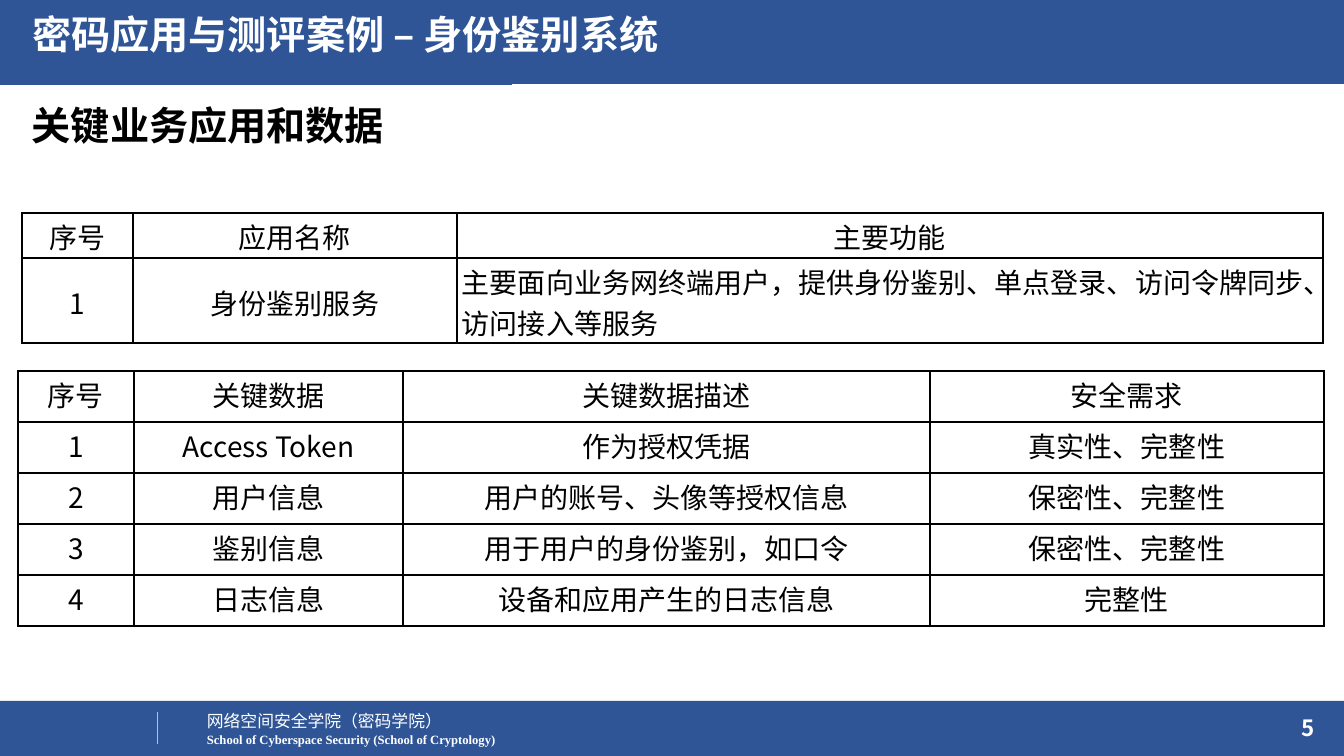
from lxml.etree import SubElement
from pptx import Presentation
from pptx.dml.color import RGBColor
from pptx.enum.shapes import MSO_CONNECTOR, MSO_SHAPE
from pptx.enum.text import MSO_ANCHOR, MSO_AUTO_SIZE, PP_ALIGN
from pptx.oxml.ns import qn
from pptx.util import Pt

NAVY = RGBColor(0x2F, 0x55, 0x97)
WHITE = RGBColor(0xFF, 0xFF, 0xFF)
BLACK = RGBColor(0x00, 0x00, 0x00)
SILVER = RGBColor(0xBF, 0xBF, 0xBF)
SANS = "Noto Sans CJK SC"
SERIF = "Times New Roman"

APPLICATIONS = [
    ["序号", "应用名称", "主要功能"],
    ["1", "身份鉴别服务",
     "主要面向业务网终端用户，提供身份鉴别、单点登录、访问令牌同步、访问接入等服务"],
]
KEY_DATA = [
    ["序号", "关键数据", "关键数据描述", "安全需求"],
    ["1", "Access Token", "作为授权凭据", "真实性、完整性"],
    ["2", "用户信息", "用户的账号、头像等授权信息", "保密性、完整性"],
    ["3", "鉴别信息", "用于用户的身份鉴别，如口令", "保密性、完整性"],
    ["4", "日志信息", "设备和应用产生的日志信息", "完整性"],
]


def px(length):
    """Turn whole px into EMU."""
    return round(length * 914400 / 100.8)


def write(frame, text, size=20, color=BLACK, bold=False, font=SANS,
          align=PP_ALIGN.LEFT, spacing=1.0):
    """Write one formatted paragraph into a text frame."""
    para = frame.paragraphs[0]
    para.alignment = align
    para.line_spacing = spacing
    para.space_before = Pt(0)
    span = para.add_run()
    span.text = text
    span.font.name = font
    span.font.size = Pt(size)
    span.font.bold = bold
    span.font.color.rgb = color
    SubElement(span.font._element, qn("a:ea"), typeface=font)


class SlideBuilder:
    """Hold the current slide and draw its elements in one style."""

    def __init__(self, page):
        """Keep the page to draw on."""
        self.page = page

    def bar(self, left, top, width, height):
        """Draw a plain navy bar."""
        box = self.page.shapes.add_shape(
            MSO_SHAPE.RECTANGLE, px(left), px(top), px(width), px(height))
        box.shadow.inherit = False
        box.fill.solid()
        box.fill.fore_color.rgb = NAVY
        box.line.fill.background()

    def divider(self, x, top, bottom):
        """Draw a thin vertical line."""
        line = self.page.shapes.add_connector(
            MSO_CONNECTOR.STRAIGHT, px(x), px(top), px(x), px(bottom))
        line.line.color.rgb = SILVER
        line.line.width = Pt(0.5)
        SubElement(line._element.spPr, qn("a:effectLst"))

    def title(self, left, top, width, height, text, **style):
        """Move the title placeholder to the front and fill it."""
        box = self.page.shapes.title
        box._element.getparent().append(box._element)
        box.left, box.top = px(left), px(top)
        box.width, box.height = px(width), px(height)
        box.text_frame.vertical_anchor = MSO_ANCHOR.TOP
        box.text_frame.word_wrap = True
        box.text_frame.auto_size = MSO_AUTO_SIZE.NONE
        write(box.text_frame, text, **style)

    def text(self, left, top, width, height, text, wrap=True,
             anchor=MSO_ANCHOR.TOP, **style):
        """Add a text box."""
        box = self.page.shapes.add_textbox(px(left), px(top), px(width), px(height))
        box.text_frame.word_wrap = wrap
        box.text_frame.vertical_anchor = anchor
        write(box.text_frame, text, **style)

    def table(self, left, top, widths, heights, rows, side):
        """Add a ruled table with centred cells."""
        table = self.page.shapes.add_table(
            len(rows), len(widths), px(left), px(top),
            px(sum(widths)), px(sum(heights))).table
        table.first_row = table.horz_banding = False
        for column, width in zip(table.columns, widths):
            column.width = px(width)
        for row, height, texts in zip(table.rows, heights, rows):
            row.height = px(height)
            for cell, text in zip(row.cells, texts):
                self.rule(cell)
                cell.fill.background()
                cell.margin_left = cell.margin_right = px(side)
                cell.margin_top, cell.margin_bottom = px(3), 0
                cell.vertical_anchor = MSO_ANCHOR.TOP
                write(cell.text_frame, text, align=PP_ALIGN.CENTER)
        return table

    def rule(self, cell):
        """Draw black borders around a table cell."""
        properties = cell._tc.get_or_add_tcPr()
        for edge in ("lnL", "lnR", "lnT", "lnB"):
            line = SubElement(properties, qn(f"a:{edge}"), w=str(Pt(1)))
            fill = SubElement(line, qn("a:solidFill"))
            SubElement(fill, qn("a:srgbClr"), val=str(BLACK))


def main():
    """Build and save the slide."""
    deck = Presentation()
    deck.slide_width, deck.slide_height = px(1344), px(756)
    builder = SlideBuilder(deck.slides.add_slide(deck.slide_layouts[5]))

    builder.bar(0, 701, 1344, 55)
    builder.bar(0, 0, 1344, 84)
    builder.bar(0, 0, 512, 85)
    builder.text(197, 706, 258, 30, "网络空间安全学院（密码学院）",
                 wrap=False, size=12, color=WHITE)
    builder.text(197, 727, 311, 25,
                 "School of Cyberspace Security (School of Cryptology)",
                 wrap=False, size=9, color=WHITE, bold=True, font=SERIF)
    builder.divider(157, 712, 744)
    builder.text(1023, 708, 302, 40, "5", anchor=MSO_ANCHOR.MIDDLE,
                 size=16, color=WHITE, bold=True, align=PP_ALIGN.RIGHT)

    heading = dict(size=28, bold=True, spacing=0.9)
    builder.text(22, 102, 1300, 62, "关键业务应用和数据", **heading)
    builder.title(22, 11, 849, 61, "密码应用与测评案例 – 身份鉴别系统",
                  color=WHITE, **heading)

    applications = builder.table(22, 213, [111, 324, 866], [45, 85], APPLICATIONS, 5)
    for cell in applications.rows[1].cells:
        cell.vertical_anchor = MSO_ANCHOR.MIDDLE
    applications.cell(1, 2).text_frame.paragraphs[0].alignment = PP_ALIGN.LEFT
    builder.table(18, 371, [116, 269, 527, 394], [51] * 5, KEY_DATA, 11)

    deck.save("out.pptx")


if __name__ == "__main__":
    main()
